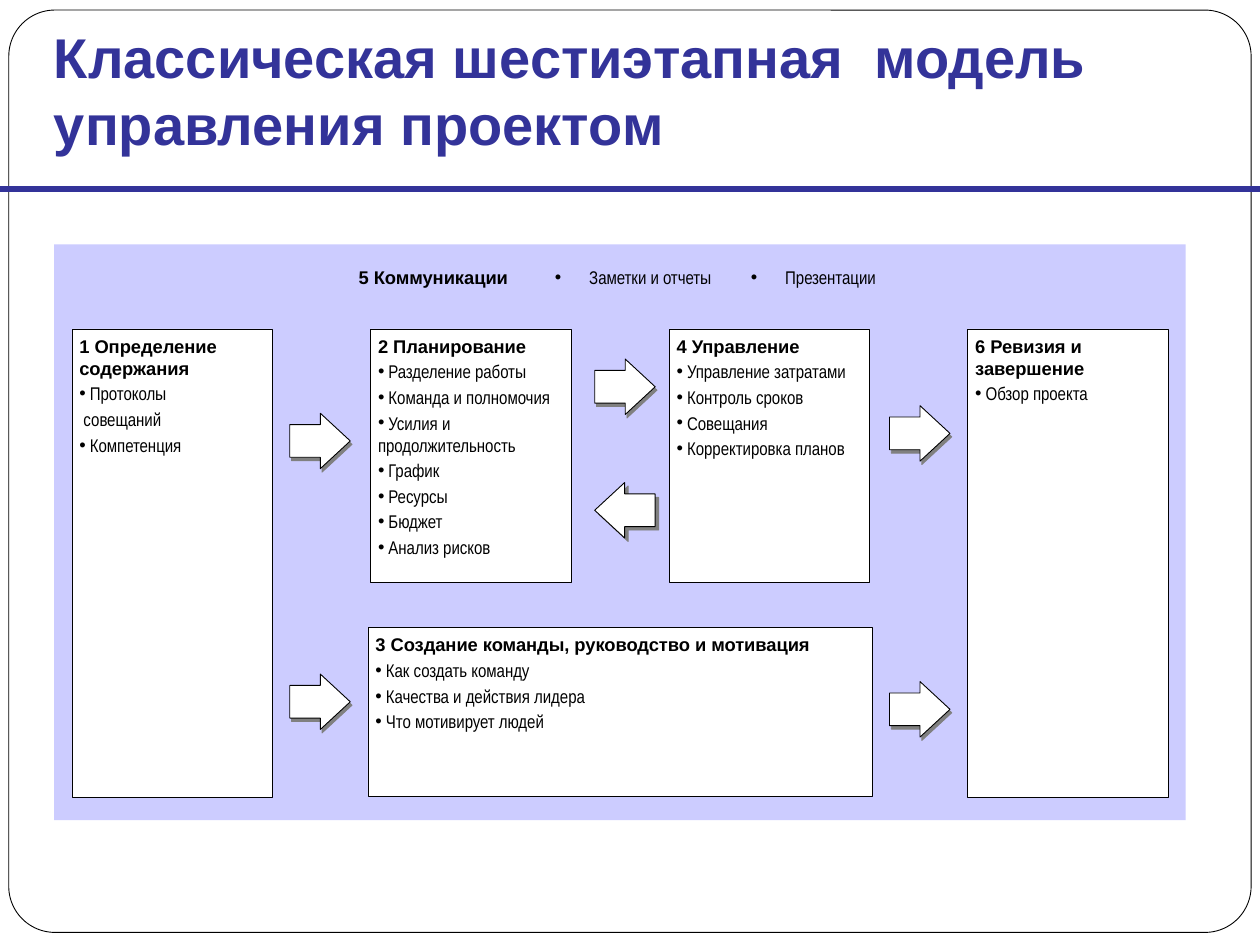
from lxml.etree import SubElement
from pptx import Presentation
from pptx.dml.color import RGBColor
from pptx.enum.shapes import MSO_CONNECTOR, MSO_SHAPE
from pptx.enum.text import MSO_ANCHOR, PP_ALIGN
from pptx.oxml.ns import qn
from pptx.util import Inches, Pt

COLORS = {"white": "FFFFFF", "black": "000000", "navy": "333399", "lilac": "CCCCFF", "gray": "808080"}
HEADING = {"name": "Arial", "size": Pt(10.5), "bold": True}
ITEM = {"name": "Arial Narrow", "size": Pt(10.5), "bold": False}
TITLE = {"name": "Arial", "size": Pt(32), "bold": True}


def add_box(shapes, kind, place, fill, line_width=None):
    box = shapes.add_shape(kind, *[Inches(length) for length in place])
    box.shadow.inherit = False
    box.fill.solid()
    box.fill.fore_color.rgb = RGBColor.from_string(COLORS[fill])
    if line_width:
        box.line.width = Pt(line_width)
        box.line.color.rgb = RGBColor.from_string(COLORS["black"])
    else:
        box.line.fill.background()
    return box


def write(para, text, style, color="black", bullet=None):
    if bullet:
        properties = para._p.get_or_add_pPr()
        for name, length in zip(("marL", "indent"), bullet):
            properties.set(name, str(Inches(length)))
        SubElement(properties, qn("a:buFont"), typeface="Arial")
        SubElement(properties, qn("a:buChar"), char="•")
    span = para.add_run()
    span.text = text
    for name, value in style.items():
        setattr(span.font, name, value)
    span.font.color.rgb = RGBColor.from_string(COLORS[color])


deck = Presentation()
deck.slide_width, deck.slide_height = Inches(10), Inches(7.5)
page = deck.slides.add_slide(deck.slide_layouts[6])

frame = add_box(page.shapes, MSO_SHAPE.ROUNDED_RECTANGLE, (0.07, 0.08, 9.86, 7.32), "white", 0.5)
frame.adjustments[0] = 0.05

title = page.shapes.add_textbox(Inches(0.33), Inches(0), Inches(9.67), Inches(1.42)).text_frame
title.word_wrap = True
title.vertical_anchor = MSO_ANCHOR.MIDDLE
write(title.paragraphs[0], "Классическая шестиэтапная  модель управления проектом", TITLE, "navy")

rule = page.shapes.add_connector(MSO_CONNECTOR.STRAIGHT, Inches(0), Inches(1.5), Inches(10), Inches(1.5))
rule.line.width = Pt(3)
rule.line.color.rgb = RGBColor.from_string(COLORS["navy"])
SubElement(rule._element.spPr, qn("a:effectLst"))

diagram = page.shapes.add_group_shape().shapes
add_box(diagram, MSO_SHAPE.RECTANGLE, (0.43, 1.94, 8.98, 4.57), "lilac")

communications = [
    (2.71, 1.46, 0.06, "5 Коммуникации", HEADING, None),
    (4.3, 1.45, 0.02, " Заметки и отчеты", ITEM, (0.24, -0.24)),
    (5.8, 1.31, 0.02, " Презентации", ITEM, (0.24, -0.24)),
]
for left, width, inset, text, style, bullet in communications:
    label = diagram.add_textbox(Inches(left), Inches(2.06), Inches(width), Inches(0.37)).text_frame
    label.word_wrap = True
    label.margin_left = label.margin_right = Inches(inset)
    para = label.paragraphs[0]
    para.alignment = PP_ALIGN.CENTER
    write(para, text, style, bullet=bullet)

arrows = [
    (2.3, 3.28, False),
    (2.3, 5.35, False),
    (4.72, 2.85, False),
    (7.06, 3.22, False),
    (7.06, 5.41, False),
    (4.72, 3.83, True),
]
for left, top, backward in arrows:
    arrow = add_box(diagram, MSO_SHAPE.RIGHT_ARROW, (left, top, 0.48, 0.44), "white", 0.5)
    arrow.adjustments[0], arrow.adjustments[1] = 0.59, 0.54
    properties = arrow._element.spPr
    if backward:
        properties.find(qn("a:xfrm")).set("flipH", "1")
    distance, angle = (2.8, 45) if backward else (2.2, 63)
    shadow = SubElement(
        properties.find(qn("a:effectLst")), qn("a:outerShdw"),
        dist=str(Pt(distance)), dir=str(angle * 60000), algn="ctr", rotWithShape="0",
    )
    SubElement(shadow, qn("a:srgbClr"), val=COLORS["gray"])

stages = [
    ((0.57, 2.61, 1.59, 3.72), "1 Определение содержания",
     ["• Протоколы", " совещаний", "• Компетенция"]),
    ((2.94, 2.61, 1.59, 2.01), "2 Планирование",
     ["• Разделение работы", "• Команда и полномочия", "• Усилия и продолжительность",
      "• График", "• Ресурсы", "• Бюджет", "• Анализ рисков"]),
    ((5.31, 2.61, 1.59, 2.01), "4 Управление",
     ["• Управление затратами", "• Контроль сроков", "• Совещания", "• Корректировка планов"]),
    ((7.68, 2.61, 1.59, 3.72), "6 Ревизия и завершение", ["• Обзор проекта"]),
    ((2.92, 4.98, 4, 1.34), "3 Создание команды, руководство и мотивация",
     ["• Как создать команду", "• Качества и действия лидера", "• Что мотивирует людей"]),
]
for place, heading, items in stages:
    stage = add_box(diagram, MSO_SHAPE.RECTANGLE, place, "white", 0.25).text_frame
    stage.word_wrap = True
    stage.vertical_anchor = MSO_ANCHOR.TOP
    stage.margin_left = stage.margin_right = Inches(0.06)
    para = stage.paragraphs[0]
    para.alignment = PP_ALIGN.LEFT
    write(para, heading, HEADING)
    for item in items:
        para = stage.add_paragraph()
        para.alignment = PP_ALIGN.LEFT
        para.space_before = Pt(2)
        bullet = (0, 0) if item.startswith("•") else None
        write(para, item.removeprefix("•"), ITEM, bullet=bullet)

deck.save("out.pptx")
